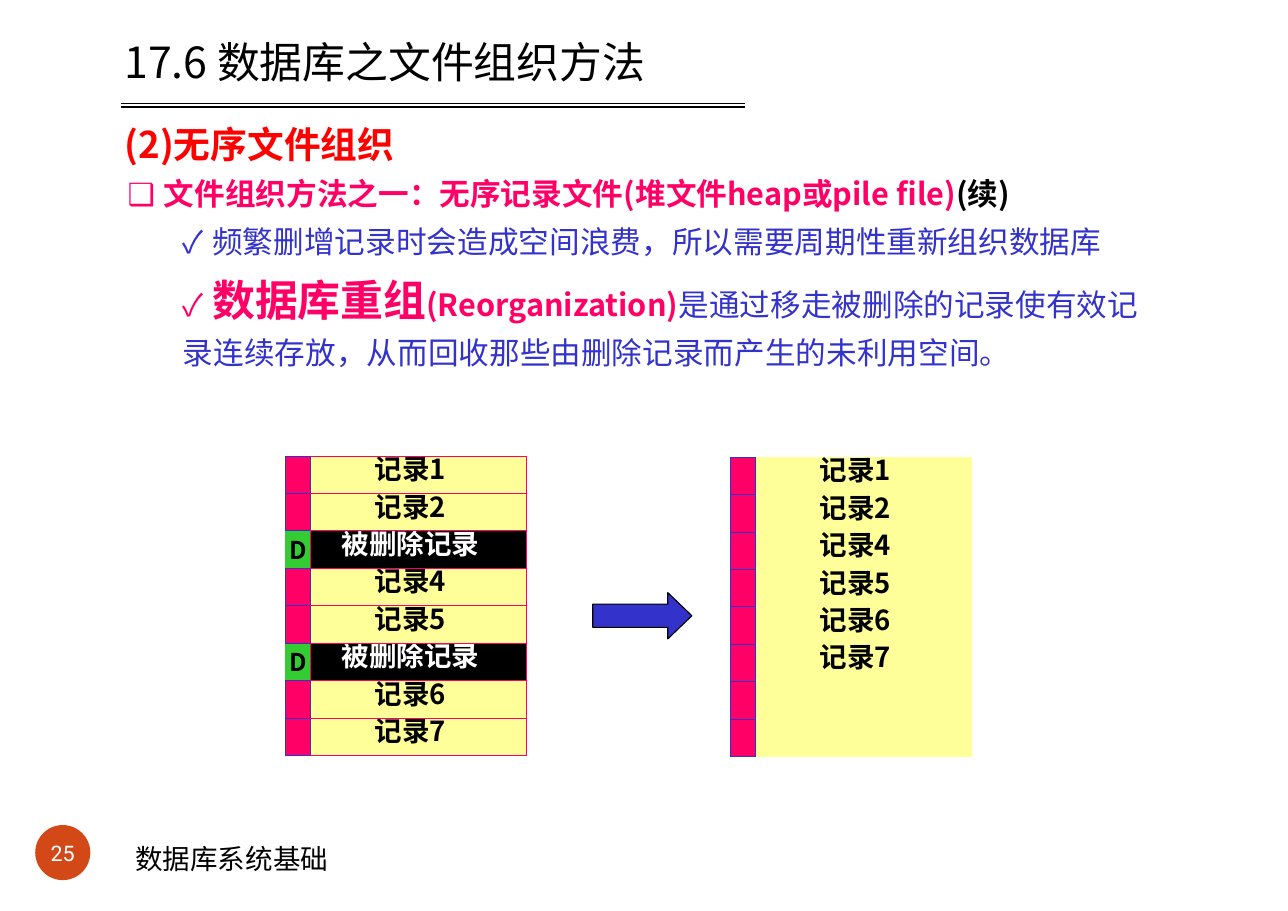
from dataclasses import dataclass

from lxml import etree
from pptx import Presentation
from pptx import util as u
from pptx.dml.color import RGBColor
from pptx.enum import shapes, text
from pptx.oxml.ns import qn

PX = 9144


@dataclass(frozen=True)
class Theme:
    """Colours, fonts and type sizes of the slide."""
    black: str = "000000"
    white: str = "FFFFFF"
    red: str = "FF0000"
    pink: str = "FF0066"
    blue: str = "3333CC"
    green: str = "33CC33"
    yellow: str = "FFFF99"
    badge: str = "D34817"
    body_font: str = "Noto Sans CJK SC"
    title_font: str = "Noto Sans CJK TC"
    mark_font: str = "Arial"
    footer_font: str = "Calibri"
    number_font: str = "Roboto"
    title: int = 28
    subtitle: int = 24
    body: int = 20
    record: int = 18
    flag: int = 16
    number: int = 14


T = Theme()


def px(n):
    """Turn px into EMU."""
    return u.Emu(n * PX)


def rgb(color):
    """Turn a hex colour into an RGBColor."""
    return RGBColor.from_string(color)


def add_run(p, words, size, color, font=T.body_font, bold=False):
    """Add one formatted run to a paragraph."""
    r = p.add_run()
    r.text = words
    r.font.size, r.font.bold, r.font.name = u.Pt(size), bold, font
    r.font.color.rgb = rgb(color)
    etree.SubElement(r.font._element, qn("a:ea"), typeface=font)


def set_indent(p, left):
    """Set the left margin of a paragraph."""
    pPr = p._p.get_or_add_pPr()
    pPr.set("marL", str(px(left)))
    pPr.set("indent", "0")


def set_frame(tf, margin=0, anchor=text.MSO_ANCHOR.TOP):
    """Set the wrapping, margins and anchor of a text frame."""
    tf.word_wrap = True
    tf.auto_size = text.MSO_AUTO_SIZE.NONE
    tf.vertical_anchor = anchor
    tf.margin_left = tf.margin_right = tf.margin_top = tf.margin_bottom = px(margin)


def add_shape(s, kind, box, fill, line=None):
    """Add a flat preset shape."""
    sp = s.shapes.add_shape(kind, *map(px, box))
    sp.shadow.inherit = False
    sp.fill.solid()
    sp.fill.fore_color.rgb = rgb(fill)
    if line:
        sp.line.color.rgb = rgb(line)
        sp.line.width = u.Pt(0.75)
    else:
        sp.line.fill.background()
    return sp


def add_rule(s, left, right, y):
    """Add a thin horizontal rule."""
    c = s.shapes.add_connector(shapes.MSO_CONNECTOR.STRAIGHT, px(left), px(y), px(right), px(y))
    c.line.color.rgb = rgb(T.black)
    c.line.width = u.Pt(1)
    etree.SubElement(c._element.spPr, qn("a:effectLst"))


def format_cell(cell, fill, **borders):
    """Give a cell its borders, named by side, then its fill."""
    tcPr = cell._tc.get_or_add_tcPr()
    for side in "LRTB":
        color = borders.get(side)
        ln = etree.SubElement(tcPr, qn(f"a:ln{side}"), w=str(u.Pt(0.75)))
        if color:
            solid = etree.SubElement(ln, qn("a:solidFill"))
            etree.SubElement(solid, qn("a:srgbClr"), val=color)
        else:
            etree.SubElement(ln, qn("a:noFill"))
    cell.fill.solid()
    cell.fill.fore_color.rgb = rgb(fill)
    cell.margin_left = cell.margin_right = cell.margin_top = cell.margin_bottom = 0


def add_records(s, left, top, records, edge=None):
    """Add a file of records with a deletion flag column."""
    frame = s.shapes.add_table(len(records), 2, px(left), px(top), px(219), px(34 * len(records)))
    table = frame.table
    table.first_row = table.horz_banding = False
    table.columns[0].width, table.columns[1].width = px(23), px(196)
    for i, record in enumerate(records):
        table.rows[i].height = px(34)
        deleted = record.startswith("被")
        flag, body = table.cell(i, 0), table.cell(i, 1)
        if deleted:
            format_cell(flag, T.green, T=T.blue, B=T.blue, R=T.pink)
            p = flag.text_frame.paragraphs[0]
            set_indent(p, 4)
            add_run(p, "D", T.flag, T.black, bold=True)
        else:
            format_cell(flag, T.pink, **dict.fromkeys("LRTB", T.blue))
        format_cell(body, T.black if deleted else T.yellow,
                    L=T.pink if deleted else T.blue, R=edge, T=edge, B=edge)
        p = body.text_frame.paragraphs[0]
        p.line_spacing = u.Pt(20.6)
        if record:
            set_indent(p, 28 if deleted else 58)
            add_run(p, record, T.record, T.white if deleted else T.black, bold=True)


def add_title(s):
    """Fill the title placeholder with the heading and the subheading."""
    sp = s.shapes.title
    sp.left, sp.top, sp.width, sp.height = map(px, (113, 32, 944, 120))
    tf = sp.text_frame
    set_frame(tf)
    p, sub = tf.paragraphs[0], tf.add_paragraph()
    p.alignment = sub.alignment = text.PP_ALIGN.LEFT
    add_run(p, "17.6 数据库之文件组织方法", T.title, T.black, T.title_font)
    sub.space_before = u.Pt(23)
    add_run(sub, "(2)无序文件组织", T.subtitle, T.red, T.title_font, True)


def add_body(s):
    """Add the explanation of unordered files."""
    tf = s.shapes.add_textbox(*map(px, (113, 159, 944, 230))).text_frame
    set_frame(tf)
    head, waste, reorganize = tf.paragraphs[0], tf.add_paragraph(), tf.add_paragraph()
    set_indent(head, 3)
    add_run(head, "❑ ", T.body, T.pink, T.mark_font)
    add_run(head, "文件组织方法之一：无序记录文件(堆文件heap或pile file)", T.body, T.pink, bold=True)
    add_run(head, "(续)", T.body, T.black, bold=True)
    set_indent(waste, 53)
    waste.space_before = u.Pt(7.2)
    add_run(waste, "✓ ", T.body, T.blue, T.mark_font)
    add_run(waste, "频繁删增记录时会造成空间浪费，所以需要周期性重新组织数据库", T.body, T.blue)
    set_indent(reorganize, 53)
    reorganize.space_before = u.Pt(1.1)
    reorganize.line_spacing = 1.24
    add_run(reorganize, "✓ ", T.body, T.pink, T.mark_font)
    add_run(reorganize, "数据库重组", T.title, T.pink, bold=True)
    add_run(reorganize, "(Reorganization)", T.body, T.pink, bold=True)
    add_run(reorganize, "是通过移走被删除的记录使有效记录连续存放，从而回收那些由删除记录而产生的未利用空间。",
            T.body, T.blue)


def add_footer(s):
    """Add the page number badge and the course name."""
    sp = add_shape(s, shapes.MSO_SHAPE.OVAL, (32, 749, 50, 50), T.badge)
    set_frame(sp.text_frame, anchor=text.MSO_ANCHOR.MIDDLE)
    p = sp.text_frame.paragraphs[0]
    p.alignment = text.PP_ALIGN.CENTER
    add_run(p, "25", T.number, T.white, T.number_font)
    tf = s.shapes.add_textbox(*map(px, (113, 759, 255, 40))).text_frame
    set_frame(tf, 5)
    tf.margin_left = px(10)
    add_run(tf.paragraphs[0], "数据库系统基础", T.record, T.black, T.footer_font)


def main():
    """Build the slide and save it."""
    prs = Presentation()
    prs.slide_width, prs.slide_height = px(1169), px(827)
    s = prs.slides.add_slide(prs.slide_layouts[5])
    add_footer(s)
    add_body(s)
    add_title(s)
    arrow = add_shape(s, shapes.MSO_SHAPE.RIGHT_ARROW, (538, 538, 90, 42), T.blue, T.black)
    arrow.adjustments[0], arrow.adjustments[1] = 0.5, 0.52
    kept = [f"记录{n}" for n in (1, 2, 4, 5, 6, 7)]
    deleted = "被删除记录"
    add_records(s, 259, 414, [*kept[:2], deleted, *kept[2:4], deleted, *kept[4:]], T.pink)
    add_records(s, 663, 415, [*kept, "", ""])
    for y in (94, 97):
        add_rule(s, 110, 676, y)
    prs.save("out.pptx")


if __name__ == "__main__":
    main()
